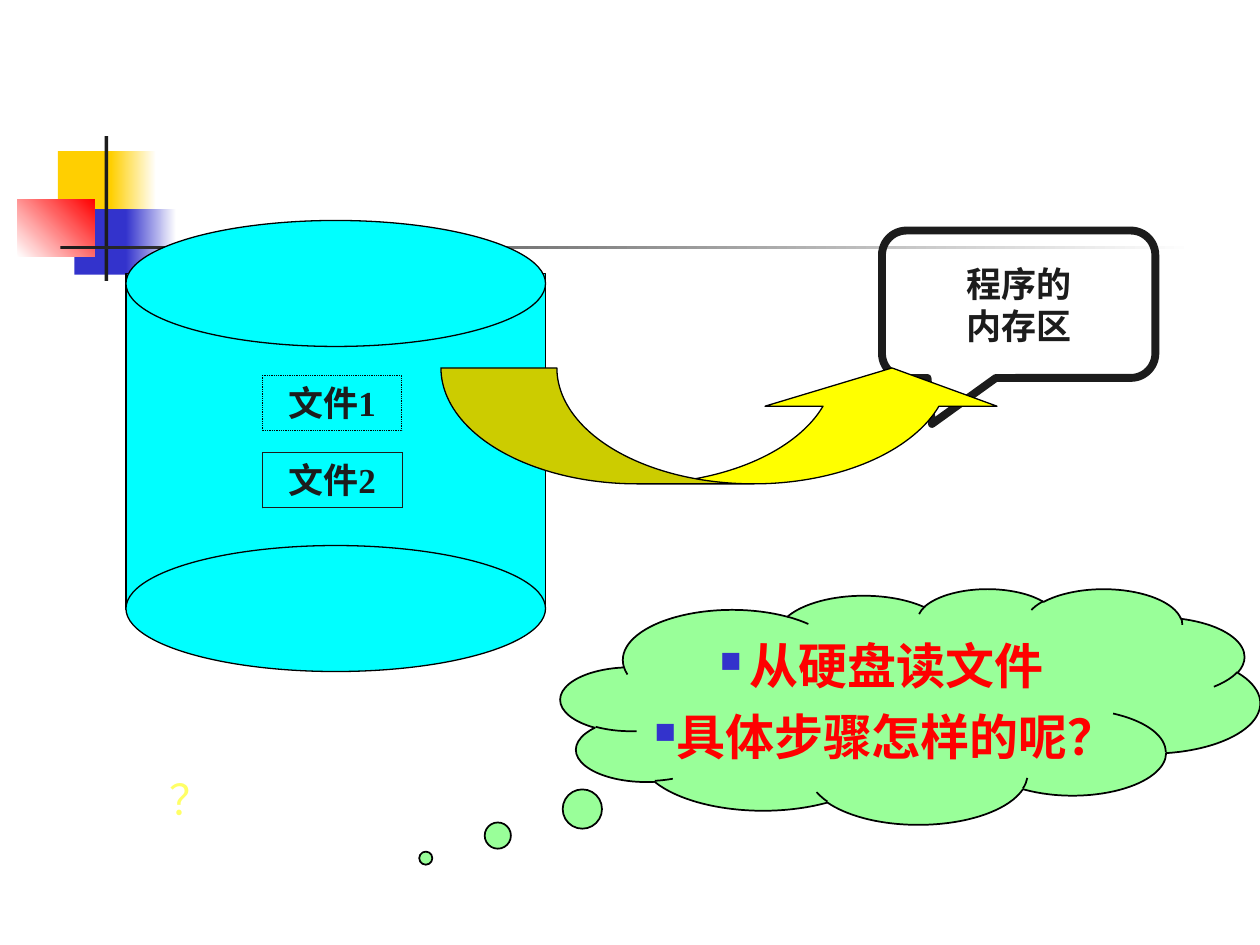
from lxml import etree
from pptx import Presentation
from pptx.dml.color import RGBColor
from pptx.enum.dml import MSO_LINE
from pptx.enum.shapes import MSO_SHAPE as SHAPE
from pptx.enum.text import MSO_ANCHOR, PP_ALIGN
from pptx.oxml.ns import qn
from pptx.util import Inches, Pt

RECT, OVAL = SHAPE.RECTANGLE, SHAPE.OVAL
MID, CENTER = MSO_ANCHOR.MIDDLE, PP_ALIGN.CENTER
DOT = MSO_LINE.ROUND_DOT
SERIF, SANS, CJK = "Times New Roman", "Karla", "Noto Sans CJK SC"
INK, BLACK, WHITE, BLUE = "1C1C1C", "000000", "FFFFFF", "3333CC"
GOLD, RED, CYAN = "FFCF01", "FF0000", "00FFFF"

# Corner decoration: box, fill (one colour, or two colours and an angle)
DECOR = [
    ((0.46, 1.2, 0.48, 0.52), GOLD),
    ((0.88, 1.2, 0.36, 0.52), (GOLD, WHITE, 0)),
    ((0.59, 1.66, 0.46, 0.52), BLUE),
    ((1, 1.66, 0.4, 0.52), (BLUE, WHITE, 0)),
    ((0.14, 1.58, 0.61, 0.46), (WHITE, RED, 45)),
    ((0.83, 1.08, 0.03, 1.15), INK),
    ((0.48, 1.95, 9, 0.03), (INK, WHITE, 0)),
]
# Disk: body, top, bottom
DISK = [
    (RECT, (1, 2.17, 3.33, 2.67)),
    (OVAL, (1, 1.75, 3.33, 1)),
    (OVAL, (1, 4.33, 3.33, 1)),
]
FILES = [("文件1", 2.98, BLACK, 0.5), ("文件2", 3.59, INK, 0.25)]
MEMORY = ["程序的", "内存区"]
ASK = ["从硬盘读文件", "具体步骤怎样的呢？"]
MARK = "？"

prs = Presentation()
prs.slide_width, prs.slide_height = Inches(10), Inches(7.5)
slide = prs.slides.add_slide(prs.slide_layouts[6])


def rgb(code):
    return RGBColor.from_string(code)


def draw(kind, box, fill=None, line=None, width=0.75, adj=()):
    shape = slide.shapes.add_shape(kind, *map(Inches, box))
    shape.shadow.inherit = False
    for i, value in enumerate(adj):
        shape.adjustments[i] = value
    if fill is None:
        shape.fill.background()
    elif isinstance(fill, str):
        shape.fill.solid()
        shape.fill.fore_color.rgb = rgb(fill)
    else:
        shape.fill.gradient()
        shape.fill.gradient_angle = fill[2]
        for stop, code, spot in zip(shape.fill.gradient_stops, fill, (0, 1)):
            stop.color.rgb = rgb(code)
            stop.position = spot
    if line:
        shape.line.color.rgb = rgb(line)
        shape.line.width = Pt(width)
    else:
        shape.line.fill.background()
    return shape


def write(shape, lines, font, size, color, bold=True, wrap=False,
          align=CENTER, anchor=MID):
    frame = shape.text_frame
    frame.word_wrap = wrap
    frame.vertical_anchor = anchor
    frame.text = "\n".join(lines)
    for para in frame.paragraphs:
        para.alignment = align
        para.font.name, para.font.size = font, Pt(size)
        para.font.bold = bold
        para.font.color.rgb = rgb(color)
    return frame.paragraphs


def bullet(para, char, color, size):
    props = para._p.get_or_add_pPr()
    marks = [
        etree.Element(qn("a:buClr")),
        etree.Element(qn("a:buSzPct"), val=str(size * 1000)),
        etree.Element(qn("a:buChar"), char=char),
    ]
    etree.SubElement(marks[0], qn("a:srgbClr"), val=color)
    spot = props.index(props.find(qn("a:defRPr")))
    props[spot:spot] = marks


# Decoration
for box, fill in DECOR:
    draw(RECT, box, fill)

# Memory callout
memory = draw(SHAPE.ROUNDED_RECTANGULAR_CALLOUT, (7, 1.83, 2.17, 1.17),
              None, INK, 4.5, (-0.317, 0.812, 0.167))
write(memory, MEMORY, SERIF, 20, INK)

# Disk and its files
for kind, box in DISK:
    draw(kind, box, CYAN, BLACK)
for name, top, line, width in FILES:
    label = draw(RECT, (2.08, top, 1.11, 0.44), None, line, width)
    label.line.dash_style = DOT
    write(label, [name], SERIF, 20, INK, wrap=True, anchor=MSO_ANCHOR.TOP)

# Arrow from disk to memory
draw(SHAPE.CURVED_UP_ARROW, (3.5, 2.92, 4.5, 0.92), "FFFF00", BLACK,
     adj=(1, 2, 0.33))

# Question cloud
cloud = draw(SHAPE.CLOUD_CALLOUT, (4.45, 4.67, 5.55, 1.87),
             "99FF99", BLACK, 1, (-0.693, 0.645))
for para in write(cloud, ASK, SANS, 28, RED):
    para.space_before = Pt(7)
    bullet(para, "■", BLUE, 60)

# Question mark
note = slide.shapes.add_textbox(*map(Inches, (1.25, 6.09, 2.01, 0.75)))
write(note, [MARK], CJK, 24, "FFFF66", bold=False,
      align=PP_ALIGN.LEFT, anchor=MSO_ANCHOR.TOP)

prs.save("out.pptx")
